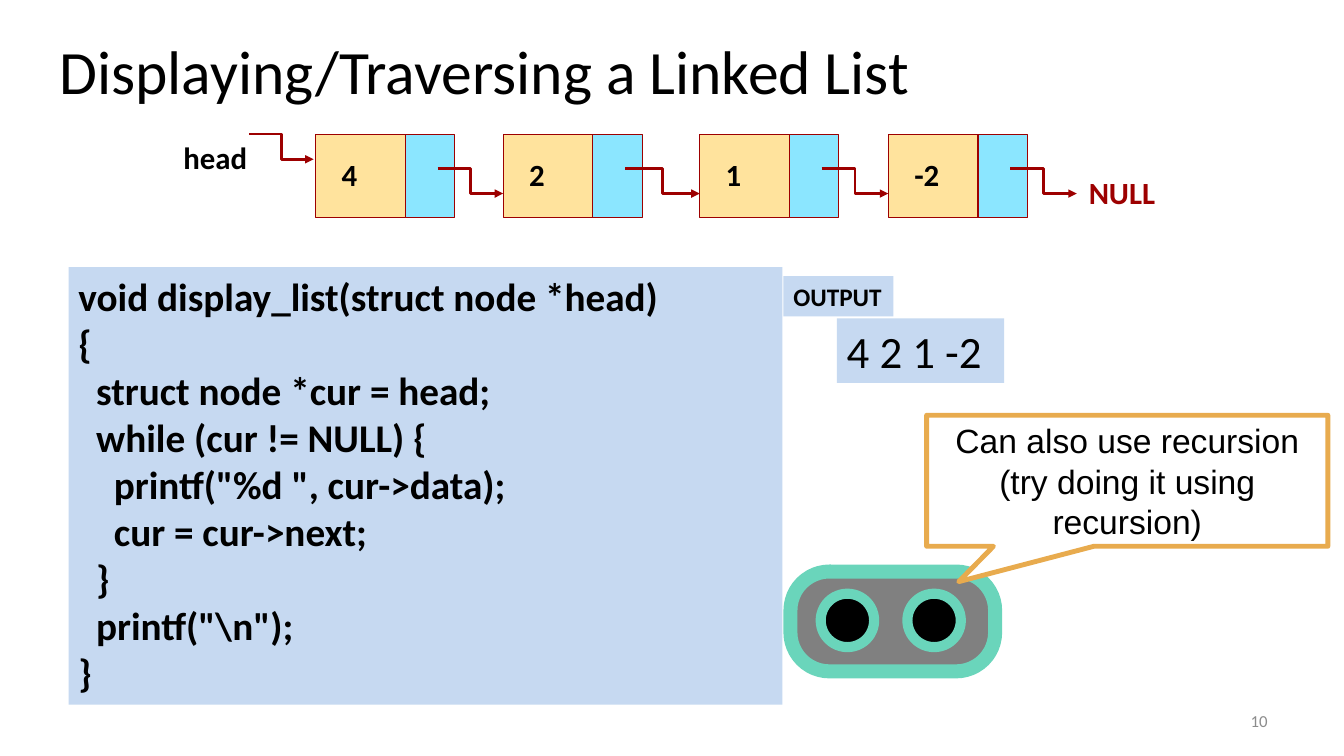
from lxml import etree
from pptx import Presentation
from pptx import util as u
from pptx.dml.color import RGBColor
from pptx.enum import shapes, text
from pptx.oxml import ns

Inches = u.Inches
COLORS = {
    "black": "000000", "red": "9D0000", "data": "FFE39D", "link": "8BE6FF",
    "panel": "C6D9F1", "gray": "808080", "teal": "6AD5BB", "white": "FFFFFF",
    "orange": "E8AB4E", "number": "8C8C8C",
}
CODE = """void display_list(struct node *head)
{
  struct node *cur = head;
  while (cur != NULL) {
    printf("%d ", cur->data);
    cur = cur->next;
  }
  printf("\\n");
}"""

presentation = Presentation()
presentation.slide_width = Inches(13.33)
presentation.slide_height = Inches(7.5)
slide = presentation.slides.add_slide(presentation.slide_layouts[6])


def add_box(kind, box, fill, line=None, width=0.75):
    shape = slide.shapes.add_shape(kind, *[Inches(value) for value in box])
    shape.shadow.inherit = False
    shape.fill.solid()
    shape.fill.fore_color.rgb = RGBColor.from_string(COLORS[fill])
    if line:
        shape.line.color.rgb = RGBColor.from_string(COLORS[line])
        shape.line.width = u.Pt(width)
    else:
        shape.line.fill.background()
    return shape


def write(shape, content, size, bold=False, color="black", font="Calibri",
          align=text.PP_ALIGN.LEFT, anchor=text.MSO_ANCHOR.TOP, wrap=True):
    frame = shape.text_frame
    frame.word_wrap = wrap
    frame.vertical_anchor = anchor
    frame.text = content
    for paragraph in frame.paragraphs:
        paragraph.alignment = align
        paragraph.font.name = font
        paragraph.font.size = u.Pt(size)
        paragraph.font.bold = bold
        paragraph.font.color.rgb = RGBColor.from_string(COLORS[color])


rectangle = shapes.MSO_SHAPE.RECTANGLE
middle = text.MSO_ANCHOR.MIDDLE

title = slide.shapes.add_textbox(Inches(0.49), Inches(0.24), Inches(9), Inches(0.91))
write(title, "Displaying/Traversing a Linked List", 44, anchor=middle)

code_panel = add_box(rectangle, (0.68, 2.65, 7.08, 4.34), "panel")
write(code_panel, CODE, 28, bold=True)

nodes = [("4", 3.13), ("2", 4.99), ("1", 6.94), ("-2", 8.81)]
for value, left in nodes:
    add_box(rectangle, (left, 1.33, 0.89, 0.83), "data", "red")
    add_box(rectangle, (left + 0.89, 1.33, 0.49, 0.83), "link", "red")

labels = [(value, left + 0.16, 1.5, 0.6, "black") for value, left in nodes]
labels += [("head", 1.72, 1.33, 0.95, "black"), ("NULL", 10.7, 1.67, 0.95, "red")]
for content, left, top, width, color in labels:
    label = slide.shapes.add_textbox(Inches(left), Inches(top), Inches(width), Inches(0.47))
    write(label, content, 22, bold=True, color=color)

node_lefts = [left for value, left in nodes]
arrows = [(2.47, 3.11, 1.33)]
arrows += [(left + 1.21, end, 1.67) for left, end in zip(node_lefts, node_lefts[1:] + [10.68])]
for start, end, top in arrows:
    arrow = slide.shapes.add_connector(
        shapes.MSO_CONNECTOR.ELBOW, Inches(start), Inches(top), Inches(end), Inches(top + 0.25))
    arrow.line.color.rgb = RGBColor.from_string(COLORS["red"])
    arrow.line.width = u.Pt(2)
    properties = arrow.element.spPr
    etree.SubElement(properties.find(ns.qn("a:ln")), ns.qn("a:tailEnd"), type="triangle")
    etree.SubElement(properties, ns.qn("a:effectLst"))

output_label = add_box(rectangle, (7.77, 2.74, 1.09, 0.4), "panel")
write(output_label, "OUTPUT", 18, bold=True, wrap=False)
output_value = add_box(rectangle, (8.3, 3.16, 1.66, 0.64), "panel")
write(output_value, "4 2 1 -2", 32, wrap=False)

robot_face = add_box(shapes.MSO_SHAPE.ROUNDED_RECTANGLE, (7.84, 5.67, 2.03, 0.99), "gray", "teal", 10)
robot_face.adjustments[0] = 0.39
for left in (8.14, 9):
    add_box(shapes.MSO_SHAPE.OVAL, (left, 5.89, 0.53, 0.53), "black", "teal", 7.25)

callout = add_box(shapes.MSO_SHAPE.RECTANGULAR_CALLOUT, (9.19, 4.12, 3.98, 1.3), "white", "orange", 3.5)
callout.adjustments[0] = -0.42
callout.adjustments[1] = 0.77
write(callout, "Can also use recursion (try doing it using recursion)", 24,
      font="Arial", align=text.PP_ALIGN.CENTER, anchor=middle)

page_number = slide.shapes.add_textbox(Inches(9.56), Inches(6.95), Inches(3.11), Inches(0.4))
write(page_number, "10", 12, color="number", align=text.PP_ALIGN.RIGHT, anchor=middle)

presentation.save("out.pptx")
